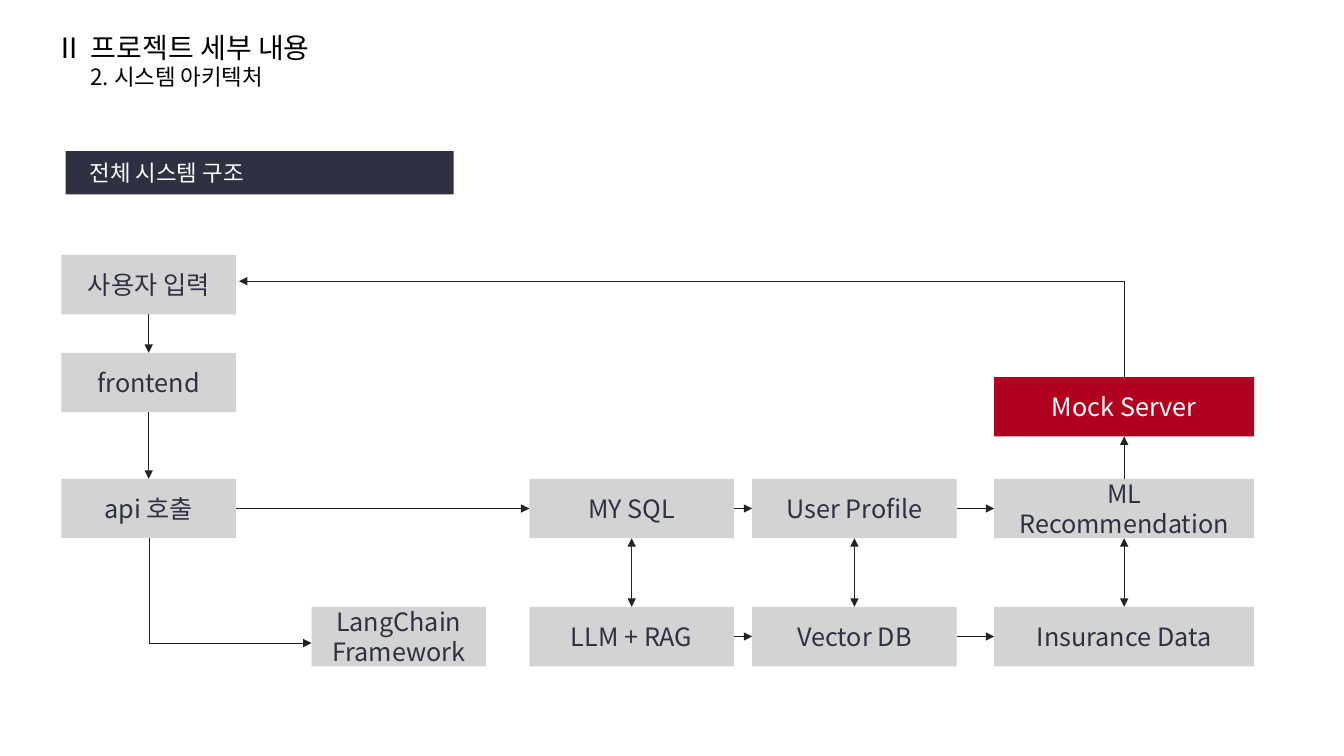
"""Build the system architecture slide."""
from lxml.etree import SubElement
from pptx import Presentation
from pptx.dml.color import RGBColor
from pptx.enum.shapes import MSO_CONNECTOR, MSO_SHAPE
from pptx.enum.text import MSO_ANCHOR, PP_ALIGN
from pptx.oxml.ns import qn
from pptx.util import Inches, Pt

FONT = "Noto Sans CJK KR"
COLORS = {"black": "000000", "white": "FFFFFF", "navy": "2D3142",
          "gray": "D3D3D3", "red": "B00020", "line": "262122"}

TITLE = ("프로젝트 세부 내용", 0.8, 0.3, 2.8, 0.33, 20)
LABELS = [("Ⅱ", 0.45, 0.3, 0.4, 0.33, 20),
          ("2. 시스템 아키텍처", 0.8, 0.63, 2.8, 0.25, 16)]
SECTION = "전체 시스템 구조"

BOX_H = 0.59
COLUMNS = {"entry": (0.61, 1.73), "framework": (3.09, 1.73), "store": (5.25, 2.03),
           "profile": (7.46, 2.03), "result": (9.86, 2.58)}
ROWS = {"input": 2.53, "frontend": 3.5, "server": 3.74, "service": 4.75, "data": 6.02}
BOXES = [
    ("사용자 입력", "entry", "input"),
    ("frontend", "entry", "frontend"),
    ("api 호출", "entry", "service"),
    ("LangChain Framework", "framework", "data"),
    ("MY SQL", "store", "service"),
    ("LLM + RAG", "store", "data"),
    ("User Profile", "profile", "service"),
    ("Vector DB", "profile", "data"),
    ("ML Recommendation", "result", "service"),
    ("Insurance Data", "result", "data"),
    ("Mock Server", "result", "server"),
]
HIGHLIGHT = "Mock Server"

TOP, LEFT, BOTTOM, RIGHT = range(4)
LINKS = [
    ("사용자 입력", BOTTOM, "frontend", TOP, False),
    ("frontend", BOTTOM, "api 호출", TOP, False),
    ("api 호출", RIGHT, "MY SQL", LEFT, False),
    ("MY SQL", RIGHT, "User Profile", LEFT, False),
    ("User Profile", RIGHT, "ML Recommendation", LEFT, False),
    ("LLM + RAG", RIGHT, "Vector DB", LEFT, False),
    ("Vector DB", RIGHT, "Insurance Data", LEFT, False),
    ("MY SQL", BOTTOM, "LLM + RAG", TOP, True),
    ("User Profile", BOTTOM, "Vector DB", TOP, True),
    ("ML Recommendation", BOTTOM, "Insurance Data", TOP, True),
    ("ML Recommendation", TOP, "Mock Server", BOTTOM, False),
]
ELBOWS = [[(1.48, 5.34), (1.48, 6.38), (3.09, 6.38)],
          [(11.15, 3.74), (11.15, 2.79), (2.37, 2.79)]]


def rgb(name):
    return RGBColor.from_string(COLORS[name])


def write(sp, text, size, color, align=PP_ALIGN.LEFT):
    tf = sp.text_frame
    tf.text = text
    tf.word_wrap = True
    tf.vertical_anchor = MSO_ANCHOR.MIDDLE
    p = tf.paragraphs[0]
    p.alignment = align
    for r in p.runs:
        r.font.size = Pt(size)
        r.font.name = FONT
        r.font.color.rgb = rgb(color)
        SubElement(r.font._element, qn("a:ea"), typeface=FONT)


def add_rect(s, x, y, w, h, fill):
    sp = s.shapes.add_shape(MSO_SHAPE.RECTANGLE, *map(Inches, (x, y, w, h)))
    sp.shadow.inherit = False
    sp.fill.solid()
    sp.fill.fore_color.rgb = rgb(fill)
    sp.line.fill.background()
    return sp


def add_line(s, start, end, head=False, tail=True):
    cx = s.shapes.add_connector(MSO_CONNECTOR.STRAIGHT, *map(Inches, start + end))
    cx.line.color.rgb = rgb("line")
    cx.line.width = Pt(0.5)
    ln = cx.line._get_or_add_ln()
    for tag, shown in (("a:headEnd", head), ("a:tailEnd", tail)):
        if shown:
            SubElement(ln, qn(tag), type="triangle")
    SubElement(cx._element.spPr, qn("a:effectLst"))
    return cx


def main():
    prs = Presentation()
    prs.slide_width, prs.slide_height = Inches(13.33), Inches(7.5)
    s = prs.slides.add_slide(prs.slide_layouts[5])

    text, x, y, w, h, size = TITLE
    title = s.shapes.title
    title.left, title.top, title.width, title.height = map(Inches, (x, y, w, h))
    write(title, text, size, "black")
    for text, x, y, w, h, size in LABELS:
        label = s.shapes.add_textbox(*map(Inches, (x, y, w, h)))
        write(label, text, size, "black")

    section = add_rect(s, 0.65, 1.5, 3.85, 0.43, "navy")
    section.text_frame.margin_left = Inches(0.24)
    write(section, SECTION, 16, "white")

    boxes = {}
    for text, column, row in BOXES:
        x, w = COLUMNS[column]
        fill, color = ("red", "white") if text == HIGHLIGHT else ("gray", "navy")
        boxes[text] = add_rect(s, x, ROWS[row], w, BOX_H, fill)
        write(boxes[text], text, 18, color, PP_ALIGN.CENTER)

    for source, out_site, target, in_site, both in LINKS:
        cx = add_line(s, (0, 0), (0, 0), head=both)
        cx.begin_connect(boxes[source], out_site)
        cx.end_connect(boxes[target], in_site)
    for start, corner, end in ELBOWS:
        add_line(s, start, corner, tail=False)
        add_line(s, corner, end)

    prs.save("out.pptx")


if __name__ == "__main__":
    main()
